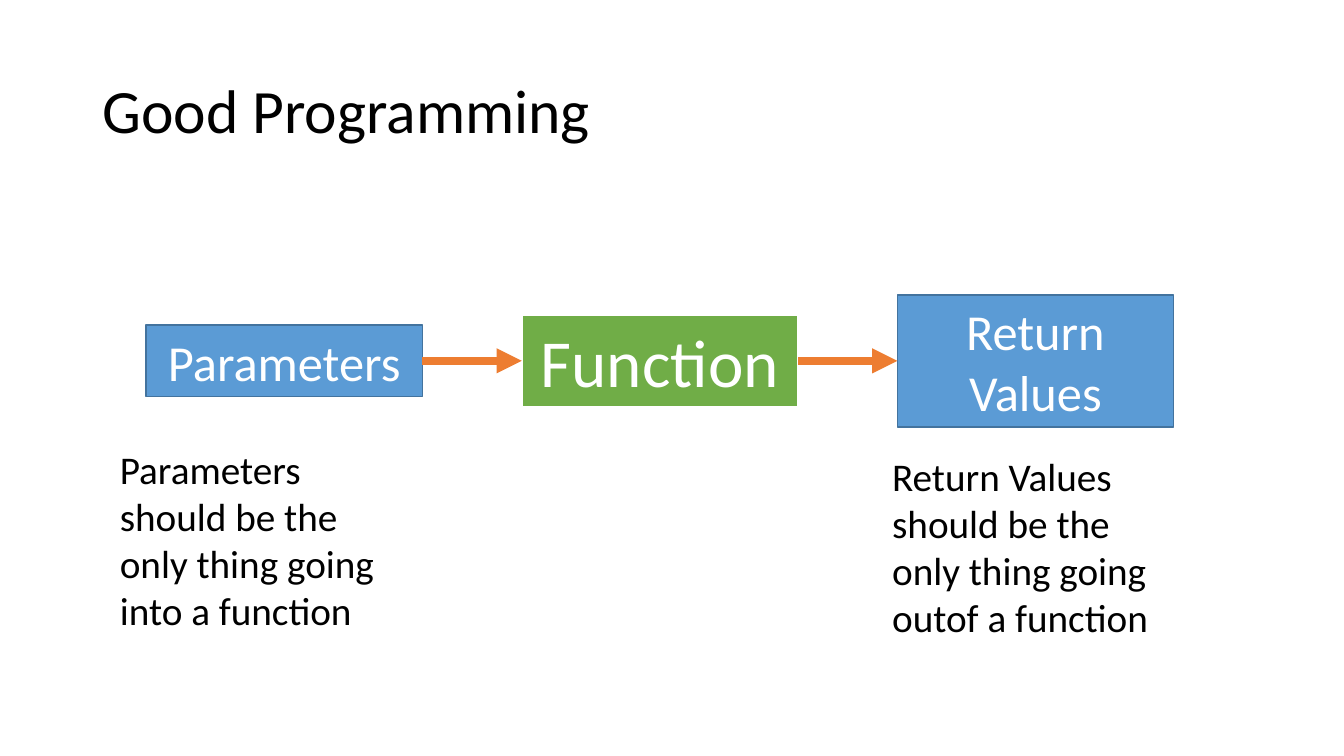
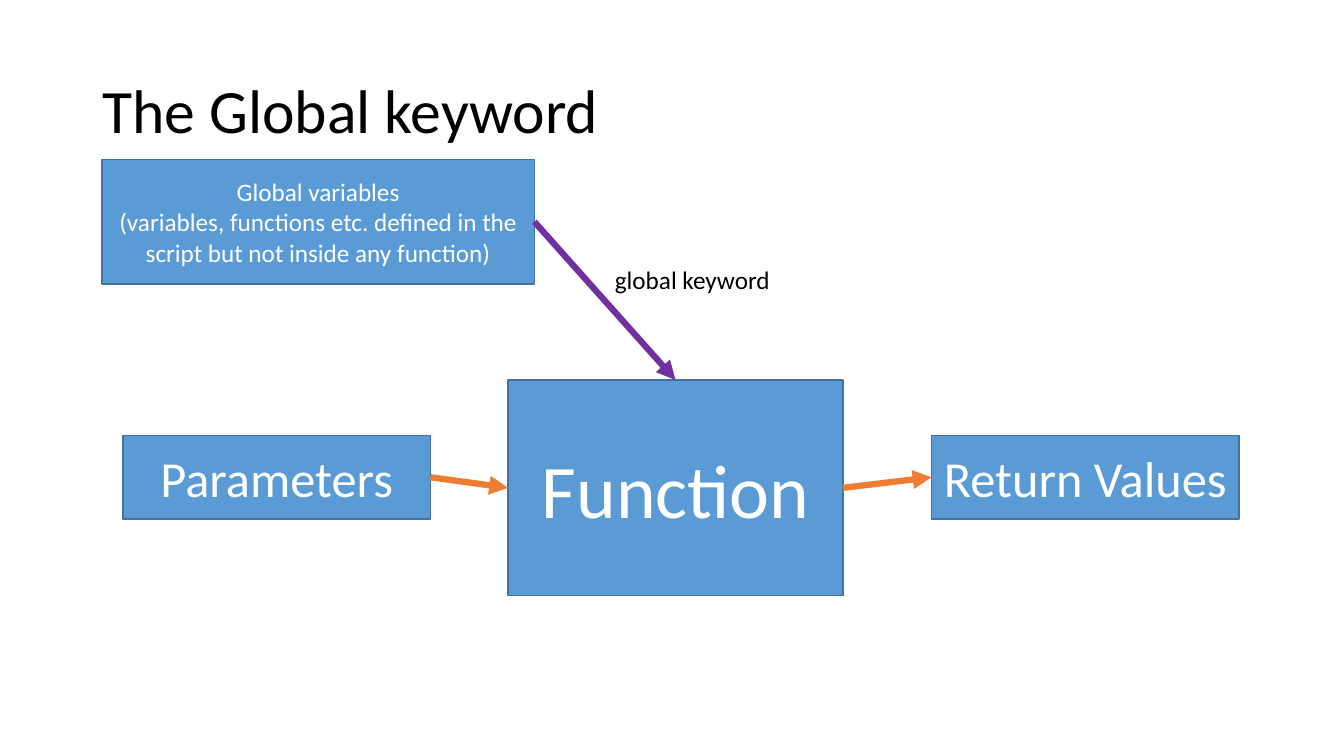
from lxml import etree
from pptx import Presentation
from pptx.dml.color import RGBColor
from pptx.enum.shapes import MSO_CONNECTOR, MSO_SHAPE
from pptx.enum.text import MSO_ANCHOR, PP_ALIGN
from pptx.oxml.ns import qn
from pptx.util import Inches, Pt

STRAIGHT, RECTANGLE = MSO_CONNECTOR.STRAIGHT, MSO_SHAPE.RECTANGLE
TOP, MIDDLE = MSO_ANCHOR.TOP, MSO_ANCHOR.MIDDLE
LEFT, CENTER = PP_ALIGN.LEFT, PP_ALIGN.CENTER
TOP_SIDE, LEFT_SIDE, RIGHT_SIDE = 0, 1, 3

FONT = "Calibri"
BLACK = RGBColor(0x00, 0x00, 0x00)
WHITE = RGBColor(0xFF, 0xFF, 0xFF)
BLUE = RGBColor(0x5B, 0x9B, 0xD5)
DARK_BLUE = RGBColor(0x43, 0x73, 0x9E)
GREEN = RGBColor(0x70, 0xAD, 0x47)
ORANGE = RGBColor(0xED, 0x7D, 0x31)
PURPLE = RGBColor(0x70, 0x30, 0xA0)

SLIDE_SIZE = (13.33, 7.5)
TITLE_AREA = (0.92, 0.4, 11.5, 1.45)
TITLE_SIZE = 44

# Box styles: fill, line colour, line width
PLAIN = (BLUE, DARK_BLUE, 1)
ACCENT = (GREEN, WHITE, 1.5)

# The three steps of the first slide share a width, a pitch and a centre line
STEP_LEFT, STEP_PITCH, STEP_WIDTH, STEP_MIDDLE = 1.45, 3.725, 2.74, 3.58


def step_area(column, height):
    return (STEP_LEFT + column * STEP_PITCH, STEP_MIDDLE - height / 2,
            STEP_WIDTH, height)


# Boxes: name -> (paragraphs, area, text size, style)
# Arrows: (from box, side, to box, side, colour)
# Notes: (text, area, text size)
SLIDES = [
    {
        "title": "Good Programming",
        "boxes": {
            "input": (["Parameters"], step_area(0, 0.71), 36, PLAIN),
            "function": (["Function"], step_area(1, 0.91), 48, ACCENT),
            "output": (["Return Values"], step_area(2, 1.31), 36, PLAIN),
        },
        "arrows": [
            ("input", RIGHT_SIDE, "function", LEFT_SIDE, ORANGE),
            ("function", RIGHT_SIDE, "output", LEFT_SIDE, ORANGE),
        ],
        "arrow_width": 6,
        "notes": [
            ("Parameters should be the only thing going into a function",
             (1.09, 4.37, 2.89, 1.99), 28),
            ("Return Values should be the only thing going outof a function",
             (8.75, 4.44, 2.89, 1.99), 28),
        ],
    },
    {
        "title": "The Global keyword",
        "boxes": {
            "function": (["Function"], (5.04, 3.77, 3.32, 2.14), 54, PLAIN),
            "input": (["Parameters"], (1.22, 4.32, 3.05, 0.83), 36, PLAIN),
            "output": (["Return Values"], (9.24, 4.32, 3.05, 0.83), 36, PLAIN),
            "globals": (["Global variables",
                         "(variables, functions etc. defined in the script "
                         "but not inside any function)"],
                        (1.01, 1.58, 4.29, 1.24), 18, PLAIN),
        },
        "arrows": [
            ("input", RIGHT_SIDE, "function", LEFT_SIDE, ORANGE),
            ("function", RIGHT_SIDE, "output", LEFT_SIDE, ORANGE),
            ("globals", RIGHT_SIDE, "function", TOP_SIDE, PURPLE),
        ],
        "arrow_width": 4.5,
        "notes": [("global keyword", (6, 2.57, 2, 0.4), 18)],
    },
]


def inches(area):
    return [Inches(length) for length in area]


def write(shape, paragraphs, size, color, align=LEFT, anchor=TOP, spacing=None):
    frame = shape.text_frame
    frame.word_wrap = True
    frame.vertical_anchor = anchor
    frame.text = "\n".join(paragraphs)
    font_format = {"name": FONT, "size": Pt(size)}
    for paragraph in frame.paragraphs:
        paragraph.alignment = align
        paragraph.line_spacing = spacing
        for attribute, value in font_format.items():
            setattr(paragraph.font, attribute, value)
        paragraph.font.color.rgb = color


def add_text(slide, text, area, size, **layout):
    write(slide.shapes.add_textbox(*inches(area)), [text], size, BLACK, **layout)


def add_box(slide, paragraphs, area, size, style):
    fill, line, line_width = style
    box = slide.shapes.add_shape(RECTANGLE, *inches(area))
    box.shadow.inherit = False
    box.fill.solid()
    box.fill.fore_color.rgb = fill
    box.line.color.rgb = line
    box.line.width = Pt(line_width)
    write(box, paragraphs, size, WHITE, align=CENTER, anchor=MIDDLE)
    return box


def add_arrow(slide, start, start_side, end, end_side, color, width):
    arrow = slide.shapes.add_connector(STRAIGHT, 0, 0, 0, 0)
    arrow.begin_connect(start, start_side)
    arrow.end_connect(end, end_side)
    arrow.line.color.rgb = color
    arrow.line.width = Pt(width)
    etree.SubElement(arrow.line._get_or_add_ln(), qn("a:tailEnd"), type="triangle")
    etree.SubElement(arrow._element.spPr, qn("a:effectLst"))


def build_slide(deck, content):
    slide = deck.slides.add_slide(deck.slide_layouts[6])
    add_text(slide, content["title"], TITLE_AREA, TITLE_SIZE,
             anchor=MIDDLE, spacing=0.9)
    boxes = {name: add_box(slide, *box) for name, box in content["boxes"].items()}
    for start, start_side, end, end_side, color in content["arrows"]:
        add_arrow(slide, boxes[start], start_side, boxes[end], end_side,
                  color, content["arrow_width"])
    for note in content["notes"]:
        add_text(slide, *note)


def main():
    deck = Presentation()
    deck.slide_width, deck.slide_height = inches(SLIDE_SIZE)
    for content in SLIDES:
        build_slide(deck, content)
    deck.save("out.pptx")


if __name__ == "__main__":
    main()
